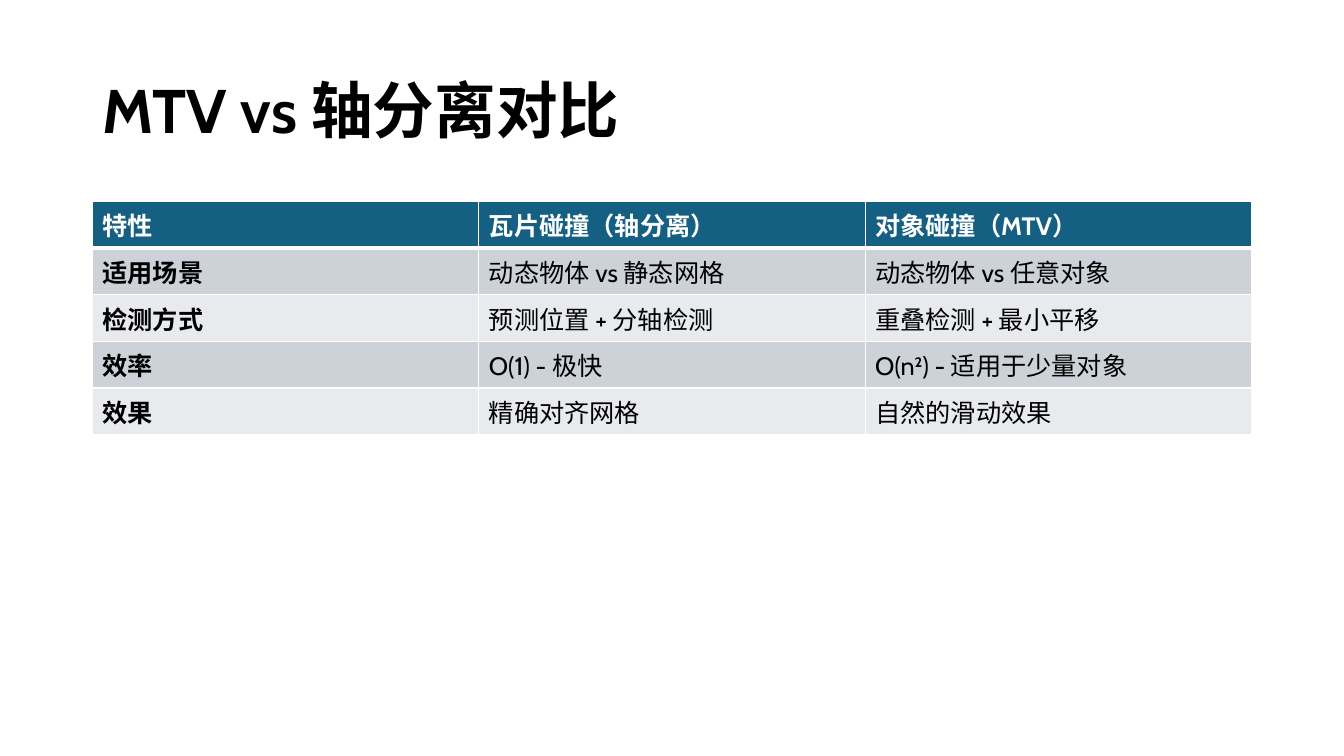
from pptx import Presentation
from pptx.dml.color import RGBColor
from pptx.enum.text import MSO_ANCHOR, PP_ALIGN
from pptx.oxml import parse_xml
from pptx.oxml.ns import nsdecls
from pptx.util import Pt

FONT = "Cabin"
BLACK = RGBColor(0x00, 0x00, 0x00)
WHITE = RGBColor(0xFF, 0xFF, 0xFF)
HEADER_BLUE = RGBColor(0x15, 0x60, 0x82)
BAND_DARK = RGBColor(0xCC, 0xD2, 0xD8)
BAND_LIGHT = RGBColor(0xE8, 0xEA, 0xED)

TITLE = "MTV vs 轴分离对比"
COMPARISON = [
    ("特性", "瓦片碰撞（轴分离）", "对象碰撞（MTV）"),
    ("适用场景", "动态物体 vs 静态网格", "动态物体 vs 任意对象"),
    ("检测方式", "预测位置 + 分轴检测", "重叠检测 + 最小平移"),
    ("效率", "O(1) - 极快", "O(n²) - 适用于少量对象"),
    ("效果", "精确对齐网格", "自然的滑动效果"),
]


def add_run(paragraph, text, size, color, bold):
    run = paragraph.add_run()
    run.text = text
    run.font.name = FONT
    run.font.size = Pt(size)
    run.font.bold = bold
    run.font.color.rgb = color


def add_borders(cell, top, bottom):
    """Draw white cell edges; must precede the fill, as the schema orders them."""
    properties = cell._tc.get_or_add_tcPr()
    for side, width in (("L", 1), ("R", 1), ("T", top), ("B", bottom)):
        properties.append(parse_xml(
            f'<a:ln{side} {nsdecls("a")} w="{Pt(width)}"><a:solidFill>'
            f'<a:srgbClr val="{WHITE}"/></a:solidFill></a:ln{side}>'))


def place_title(slide, left, top, width, height):
    title = slide.shapes.title
    title.left, title.top = Pt(left), Pt(top)
    title.width, title.height = Pt(width), Pt(height)
    title.text_frame.vertical_anchor = MSO_ANCHOR.MIDDLE
    heading = title.text_frame.paragraphs[0]
    heading.alignment = PP_ALIGN.LEFT
    heading.line_spacing = 0.9
    add_run(heading, TITLE, 44, BLACK, True)


def add_comparison_table(slide, left, top, width, height):
    table = slide.shapes.add_table(
        len(COMPARISON), len(COMPARISON[0]),
        Pt(left), Pt(top), Pt(width), Pt(height)).table
    for row, texts in enumerate(COMPARISON):
        is_header = row == 0
        band = BAND_DARK if row % 2 else BAND_LIGHT
        for column, text in enumerate(texts):
            cell = table.cell(row, column)
            add_borders(cell, top=3 if row == 1 else 1, bottom=3 if is_header else 1)
            cell.fill.solid()
            cell.fill.fore_color.rgb = HEADER_BLUE if is_header else band
            cell.vertical_anchor = MSO_ANCHOR.MIDDLE
            add_run(cell.text_frame.paragraphs[0], text, 18,
                    WHITE if is_header else BLACK, is_header or column == 0)


def main():
    presentation = Presentation()
    presentation.slide_width, presentation.slide_height = Pt(960), Pt(540)
    slide = presentation.slides.add_slide(presentation.slide_layouts[5])
    place_title(slide, 66, 28.75, 828, 104.4)
    add_comparison_table(slide, 66, 144, 828, 146)
    presentation.save("out.pptx")


if __name__ == "__main__":
    main()
